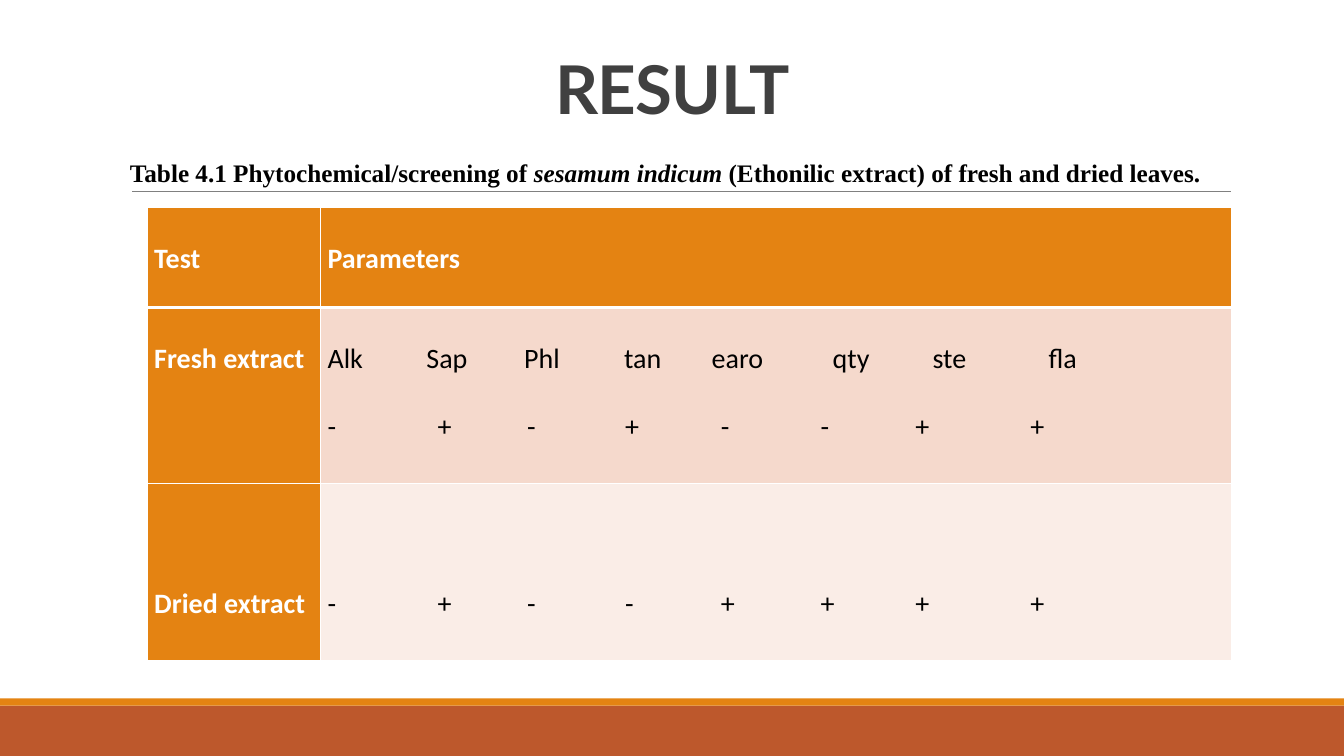
from pptx import Presentation
from pptx.dml.color import RGBColor
from pptx.enum.shapes import MSO_CONNECTOR, MSO_SHAPE
from pptx.enum.text import MSO_ANCHOR, PP_ALIGN
from pptx.oxml.ns import qn
from pptx.util import Inches, Pt
from lxml.etree import SubElement

W, H = 13.33, 7.5
ORANGE, RUST, WHITE, BLACK = "E48312", "BD582C", "FFFFFF", "000000"
NAME_STOPS = [0.98, 1.95, 2.94, 3.81, 5.01, 6, 7.15]
SIGN_STOPS = [1.09, 1.98, 2.95, 3.9, 4.89, 5.83, 6.97]
LINE = 0.68  # height of one double-spaced table line


def rgb(value):
    return RGBColor.from_string(value)


def add_run(p, text, font, size, color, bold=True, italic=False):
    r = p.add_run()
    r.text = text
    f = r.font
    f.name, f.size, f.bold, f.italic = font, Pt(size), bold, italic
    f.color.rgb = rgb(color)
    return r


def add_text_box(slide, box, anchor):
    tf = slide.shapes.add_textbox(*map(Inches, box)).text_frame
    tf.word_wrap = True
    tf.vertical_anchor = anchor
    return tf.paragraphs[0]


def set_tabs(p, stops):
    tabs = SubElement(p._p.get_or_add_pPr(), qn("a:tabLst"))
    for stop in stops:
        SubElement(tabs, qn("a:tab"), pos=str(Inches(stop)), algn="l")


def set_borders(cell, bottom):
    tcPr = cell._tc.get_or_add_tcPr()
    for side, width in (("L", 1), ("R", 1), ("T", 1), ("B", bottom)):
        ln = SubElement(tcPr, qn("a:ln" + side), w=str(Pt(width)))
        fill = SubElement(ln, qn("a:solidFill"))
        SubElement(fill, qn("a:srgbClr"), val=WHITE)


# Footer bands and the rule under the heading
def add_frame(slide, footer_top, rule_box):
    band = 0.07
    for top, height, color in ((footer_top + band, H - footer_top - band, RUST),
                               (footer_top, band, ORANGE)):
        sp = slide.shapes.add_shape(MSO_SHAPE.RECTANGLE, 0, Inches(top),
                                    Inches(W), Inches(height))
        sp.shadow.inherit = False
        sp.fill.solid()
        sp.fill.fore_color.rgb = rgb(color)
        sp.line.fill.background()
    rule = slide.shapes.add_connector(MSO_CONNECTOR.STRAIGHT, *map(Inches, rule_box))
    rule.line.color.rgb = rgb("808080")
    rule.line.width = Pt(0.5)
    SubElement(rule._element.spPr, qn("a:effectLst"))


# Title
def add_title(slide, box):
    p = add_text_box(slide, box, MSO_ANCHOR.BOTTOM)
    p.alignment = PP_ALIGN.CENTER
    p.line_spacing = 0.85
    r = add_run(p, "RESULT", "Lato", 48, "404040")
    r._r.get_or_add_rPr().set("spc", "-50")


# Table caption
def add_caption(slide, box):
    p = add_text_box(slide, box, MSO_ANCHOR.TOP)
    p.alignment = PP_ALIGN.JUSTIFY
    p.line_spacing = 2.0
    p.space_after = Pt(8)
    for text, italic in (("Table 4.1 Phytochemical/screening of ", False),
                         ("sesamum indicum", True),
                         (" (Ethonilic extract) of fresh and dried leaves.", False)):
        add_run(p, text, "Times New Roman", 18, BLACK, italic=italic)


def fill_cell(cell, lines, fill, color, bold, top=0, bottom=1):
    set_borders(cell, bottom)
    cell.fill.solid()
    cell.fill.fore_color.rgb = rgb(fill)
    cell.margin_left = cell.margin_right = Inches(0.07)
    cell.margin_top, cell.margin_bottom = Inches(top), 0
    tf = cell.text_frame
    for i, (words, stops) in enumerate(lines):
        p = tf.add_paragraph() if i else tf.paragraphs[0]
        p.alignment = PP_ALIGN.JUSTIFY
        p.line_spacing = 2.0
        set_tabs(p, stops)
        add_run(p, "\t".join(words), "Calibri", 20, color, bold)


# Results table
def add_results(slide, box):
    tbl = slide.shapes.add_table(3, 2, *map(Inches, box)).table
    for col, width in zip(tbl.columns, (1.72, box[2] - 1.72)):
        col.width = Inches(width)
    for row, height in zip(tbl.rows, (0.99, 1.75, 1.75)):
        row.height = Inches(height)
    names = "Alk Sap Phl tan earo qty ste fla".split()
    rows = [
        ("Test", [(["Parameters"], [])], ORANGE, 0),
        ("Fresh extract", [(names, NAME_STOPS), (list("-+-+--++"), SIGN_STOPS)],
         "F5D9CC", 0),
        ("Dried extract", [(list("-+--++++"), SIGN_STOPS)], "FAEDE7", LINE),
    ]
    for i, (label, lines, fill, top) in enumerate(rows):
        head = i == 0
        bottom = 3 if head else 1
        fill_cell(tbl.cell(i, 0), [([label], [])], ORANGE, WHITE, True, top, bottom)
        fill_cell(tbl.cell(i, 1), lines, fill, WHITE if head else BLACK, head,
                  top, bottom)


def main():
    prs = Presentation()
    prs.slide_width, prs.slide_height = Inches(W), Inches(H)
    slide = prs.slides.add_slide(prs.slide_layouts[6])
    add_frame(slide, 6.93, (1.31, 1.9, 12.21, 1.9))
    add_title(slide, (0.92, 0.45, 11.5, 0.87))
    add_results(slide, (1.46, 2.06, 10.76, 4.49))
    add_caption(slide, (1.19, 1.21, 11.31, 0.62))
    prs.save("out.pptx")


if __name__ == "__main__":
    main()
